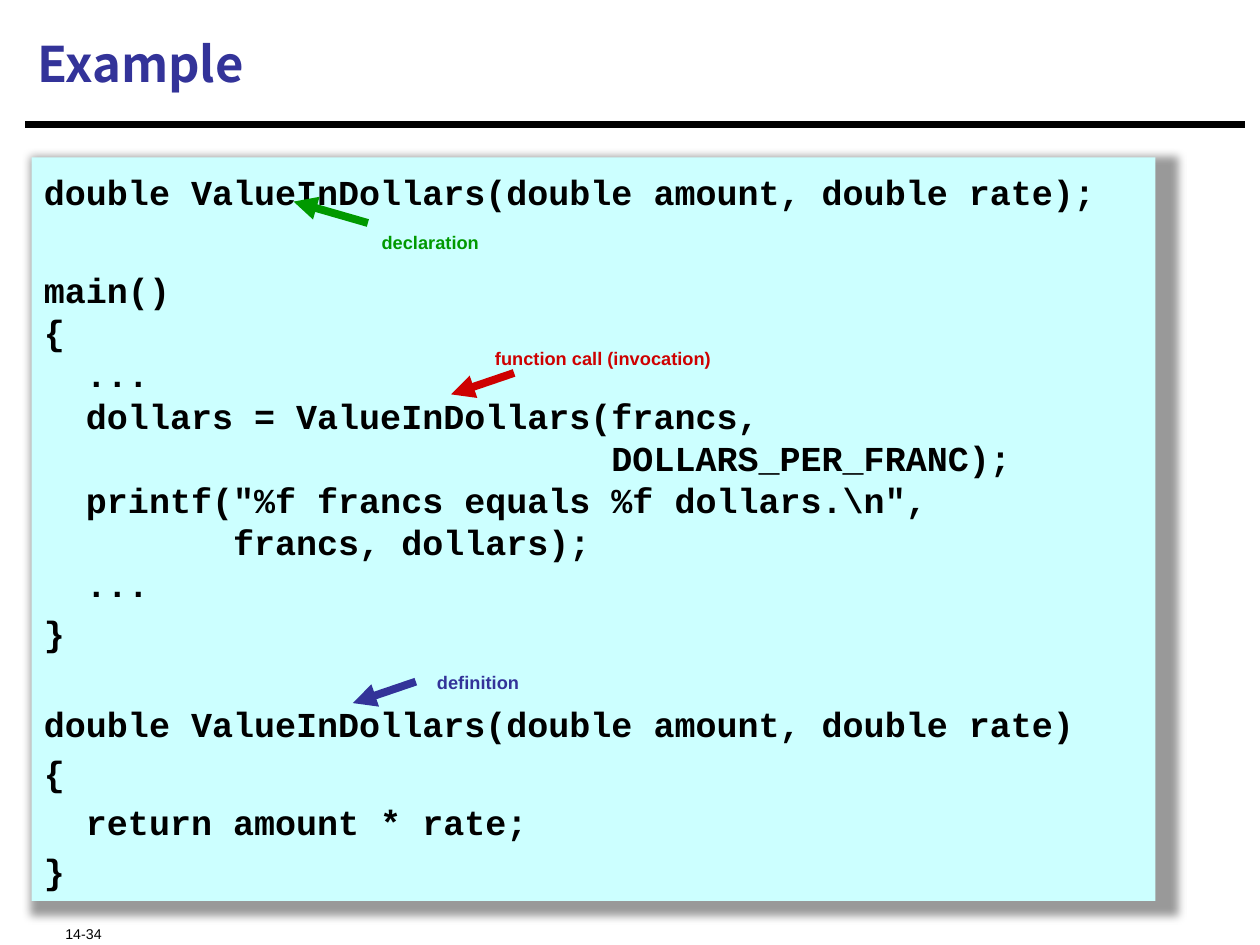
from lxml import etree
from pptx import Presentation
from pptx.dml.color import RGBColor
from pptx.enum import shapes, text
from pptx.oxml import ns
from pptx.util import Inches, Pt

BLACK = RGBColor(0x00, 0x00, 0x00)
NAVY = RGBColor(0x33, 0x33, 0x99)
GREEN = RGBColor(0x00, 0x99, 0x00)
RED = RGBColor(0xCE, 0x00, 0x00)
PALE_CYAN = RGBColor(0xCC, 0xFF, 0xFF)

MAIN_BODY = """main()
{
  ...
  dollars = ValueInDollars(francs,
                           DOLLARS_PER_FRANC);
  printf("%f francs equals %f dollars.\\n",
         francs, dollars);
  ..."""

CODE = [
    ("double ValueInDollars(double amount, double rate);", 0),
    (MAIN_BODY, 32),
    ("}", 4),
    ("double ValueInDollars(double amount, double rate)", 28),
    ("{", 4),
    ("  return amount * rate;", 4),
    ("}", 4),
]

CALLOUTS = [
    ("declaration", GREEN, (2.93, 1.6, 1.55, 0.4), (2.92, 1.77), (2.33, 1.6)),
    ("function call (invocation)", RED, (3.83, 2.52, 3.19, 0.4), (4.08, 2.96), (3.58, 3.13)),
    ("definition", NAVY, (3.37, 5.09, 1.34, 0.4), (3.3, 5.41), (2.8, 5.58)),
]


def write(paragraph, words, *, size, color, font="Arial", bold=False, lowered=False):
    """Fill a paragraph with words in one format."""
    paragraph.text = words
    paragraph.alignment = text.PP_ALIGN.LEFT
    for run in paragraph.runs:
        run.font.size = Pt(size)
        run.font.name = font
        run.font.bold = bold
        run.font.color.rgb = color
        if lowered:
            run.font._element.set("baseline", "-33000")


def add_words(slide, box, words, *, anchor=text.MSO_ANCHOR.TOP, **style):
    """Place a text box holding a single paragraph."""
    frame = slide.shapes.add_textbox(*map(Inches, box)).text_frame
    frame.word_wrap = True
    frame.vertical_anchor = anchor
    write(frame.paragraphs[0], words, **style)


def add_line(slide, start, end, color, width, arrow=False):
    """Draw a straight line, with an optional arrowhead at its end."""
    line = slide.shapes.add_connector(
        shapes.MSO_CONNECTOR.STRAIGHT, *map(Inches, start + end))
    line.line.color.rgb = color
    line.line.width = Pt(width)
    if arrow:
        etree.SubElement(line.line._get_or_add_ln(), ns.qn("a:tailEnd"), type="triangle")
    etree.SubElement(line._element.spPr, ns.qn("a:effectLst"))


def add_heading(slide, box):
    """Place the title and the rule below it."""
    left, top, width, height = box
    rule_y = top + height + 0.07
    add_line(slide, (left, rule_y), (left + width, rule_y), BLACK, 3.75)
    add_words(slide, box, "Example", anchor=text.MSO_ANCHOR.MIDDLE,
              size=28, color=NAVY, font="Noto Sans CJK SC", bold=True)


def add_shadow(panel):
    """Give the panel a soft shadow slightly larger than itself."""
    panel.shadow.inherit = False
    effects = panel._element.spPr.find(ns.qn("a:effectLst"))
    shadow = etree.SubElement(
        effects, ns.qn("a:outerShdw"), blurRad=str(Pt(5)), dist="0", dir="0",
        sx="102000", sy="102000", algn="tl", rotWithShape="0")
    shade = etree.SubElement(shadow, ns.qn("a:srgbClr"), val=str(BLACK))
    etree.SubElement(shade, ns.qn("a:alpha"), val="40000")


def add_code(slide, box):
    """Place the code listing on its shaded panel."""
    panel = slide.shapes.add_shape(shapes.MSO_SHAPE.RECTANGLE, *map(Inches, box))
    panel.fill.solid()
    panel.fill.fore_color.rgb = PALE_CYAN
    panel.line.fill.background()
    add_shadow(panel)
    frame = panel.text_frame
    frame.word_wrap = True
    frame.vertical_anchor = text.MSO_ANCHOR.TOP
    frame.margin_top = Inches(0.1)
    for index, (code, gap) in enumerate(CODE):
        paragraph = frame.add_paragraph() if index else frame.paragraphs[0]
        write(paragraph, code, size=20, color=BLACK, font="Courier New", bold=True)
        paragraph.line_spacing = Pt(24)
        if gap:
            paragraph.space_before = Pt(gap)


def add_callout(slide, box, words, color, start, end):
    """Place a label and the arrow to the code it names."""
    add_words(slide, box, words, size=18, color=color, bold=True, lowered=True)
    add_line(slide, start, end, color, 4.5, arrow=True)


def main():
    """Build the slide and save it."""
    deck = Presentation()
    deck.slide_width, deck.slide_height = Inches(10), Inches(7.5)
    slide = deck.slides.add_slide(deck.slide_layouts[6])
    add_heading(slide, (0.2, 0.08, 9.68, 0.84))
    add_words(slide, (0.42, 7.15, 2.5, 0.27), "14-34", size=14, color=BLACK, lowered=True)
    add_code(slide, (0.25, 1.25, 8.92, 5.9))
    for words, color, box, start, end in CALLOUTS:
        add_callout(slide, box, words, color, start, end)
    deck.save("out.pptx")


if __name__ == "__main__":
    main()
